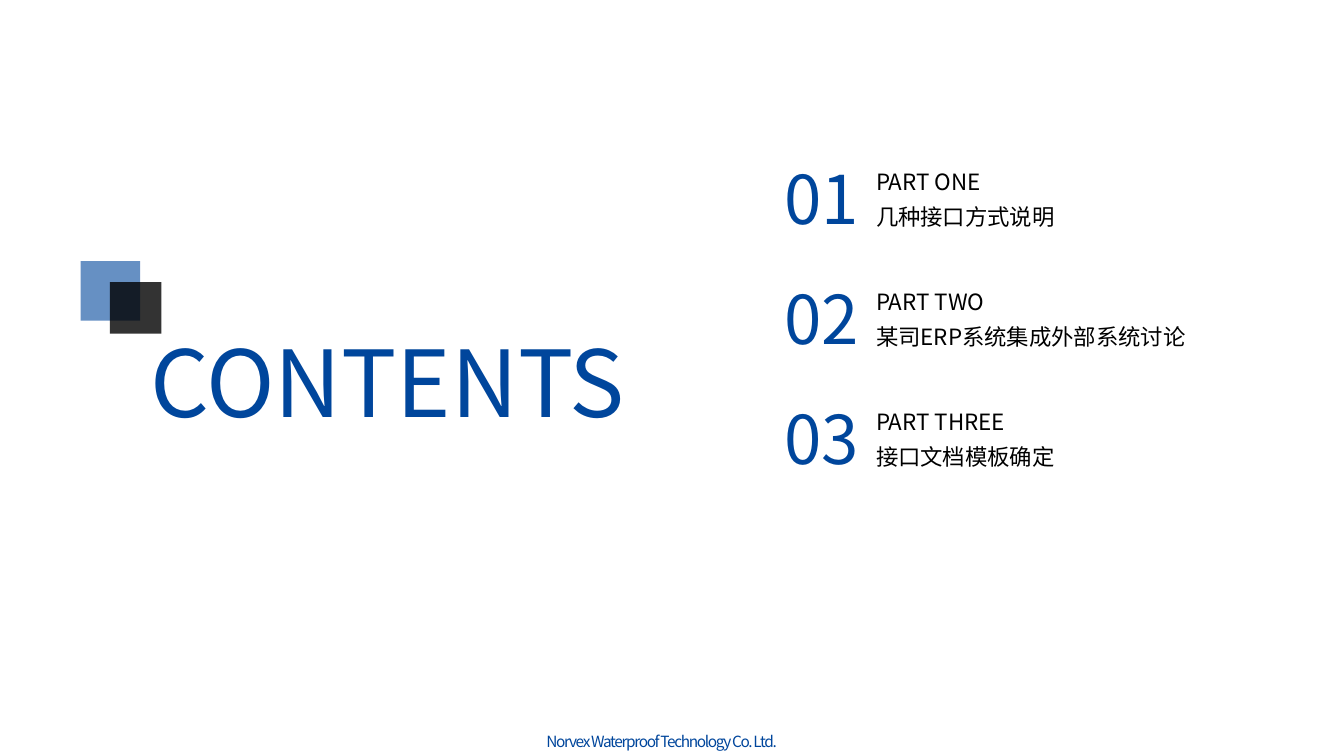
from dataclasses import dataclass

from lxml import etree
from pptx import Presentation
from pptx.dml.color import RGBColor
from pptx.enum.shapes import MSO_SHAPE
from pptx.oxml.ns import qn
from pptx.slide import Slide
from pptx.util import Inches, Pt

RECTANGLE = MSO_SHAPE.RECTANGLE


@dataclass(frozen=True)
class Theme:
    font: str = "Noto Sans CJK SC"
    blue: str = "00469C"
    black: str = "000000"
    heading_size: int = 66
    number_size: int = 48
    part_size: int = 16
    footer_size: int = 11


@dataclass(frozen=True)
class Square:
    left: float
    top: float
    side: float
    color: str
    opacity: int


@dataclass(frozen=True)
class Part:
    label: str
    title: str


THEME = Theme()
SQUARES = [
    Square(0.8, 2.59, 0.59, THEME.blue, 60),
    Square(1.09, 2.8, 0.51, THEME.black, 80),
]
PARTS = [
    Part("PART ONE", "几种接口方式说明"),
    Part("PART TWO", "某司ERP系统集成外部系统讨论"),
    Part("PART THREE", "接口文档模板确定"),
]
FIRST_PART_TOP = 1.51
PART_STEP = 1.19


def add_text(page: Slide, text: str, *, left: float, top: float, width: float,
             height: float, size: int, color: str = THEME.blue,
             line_spacing: float = 1.0, tracking: float = 0) -> None:
    box = page.shapes.add_textbox(
        Inches(left), Inches(top), Inches(width), Inches(height))
    frame = box.text_frame
    frame.word_wrap = True
    frame.text = text
    for para in frame.paragraphs:
        para.line_spacing = line_spacing
        for span in para.runs:
            span.font.name = THEME.font
            span.font.size = Pt(size)
            span.font.color.rgb = RGBColor.from_string(color)
            properties = span.font._element
            etree.SubElement(properties, qn("a:ea")).set("typeface", THEME.font)
            if tracking:
                properties.set("spc", str(round(tracking * 100)))


def add_square(page: Slide, square: Square) -> None:
    shape = page.shapes.add_shape(
        RECTANGLE, Inches(square.left), Inches(square.top),
        Inches(square.side), Inches(square.side))
    shape.shadow.inherit = False
    shape.line.fill.background()
    shape.fill.solid()
    shape.fill.fore_color.rgb = RGBColor.from_string(square.color)
    color = shape._element.spPr.find(qn("a:solidFill"))[0]
    etree.SubElement(color, qn("a:alpha")).set("val", str(square.opacity * 1000))


def add_part(page: Slide, part: Part, index: int) -> None:
    top = FIRST_PART_TOP + index * PART_STEP
    add_text(page, f"{part.label}\n{part.title}", left=8.59, top=top + 0.03,
             width=3.29, height=0.8, size=THEME.part_size, color=THEME.black,
             line_spacing=1.3)
    add_text(page, f"{index + 1:02}", left=7.68, top=top, width=0.99,
             height=0.91, size=THEME.number_size)


def main() -> None:
    deck = Presentation()
    deck.slide_width = Inches(13.33)
    deck.slide_height = Inches(7.5)
    page = deck.slides.add_slide(deck.slide_layouts[6])

    add_text(page, "Norvex Waterproof Technology Co. Ltd.", left=5.32, top=7.21,
             width=2.69, height=0.29, size=THEME.footer_size, tracking=-1)
    add_text(page, "CONTENTS", left=1.39, top=3.18, width=5.17, height=1.21,
             size=THEME.heading_size)
    for square in SQUARES:
        add_square(page, square)
    for index, part in enumerate(PARTS):
        add_part(page, part, index)

    deck.save("out.pptx")


if __name__ == "__main__":
    main()
